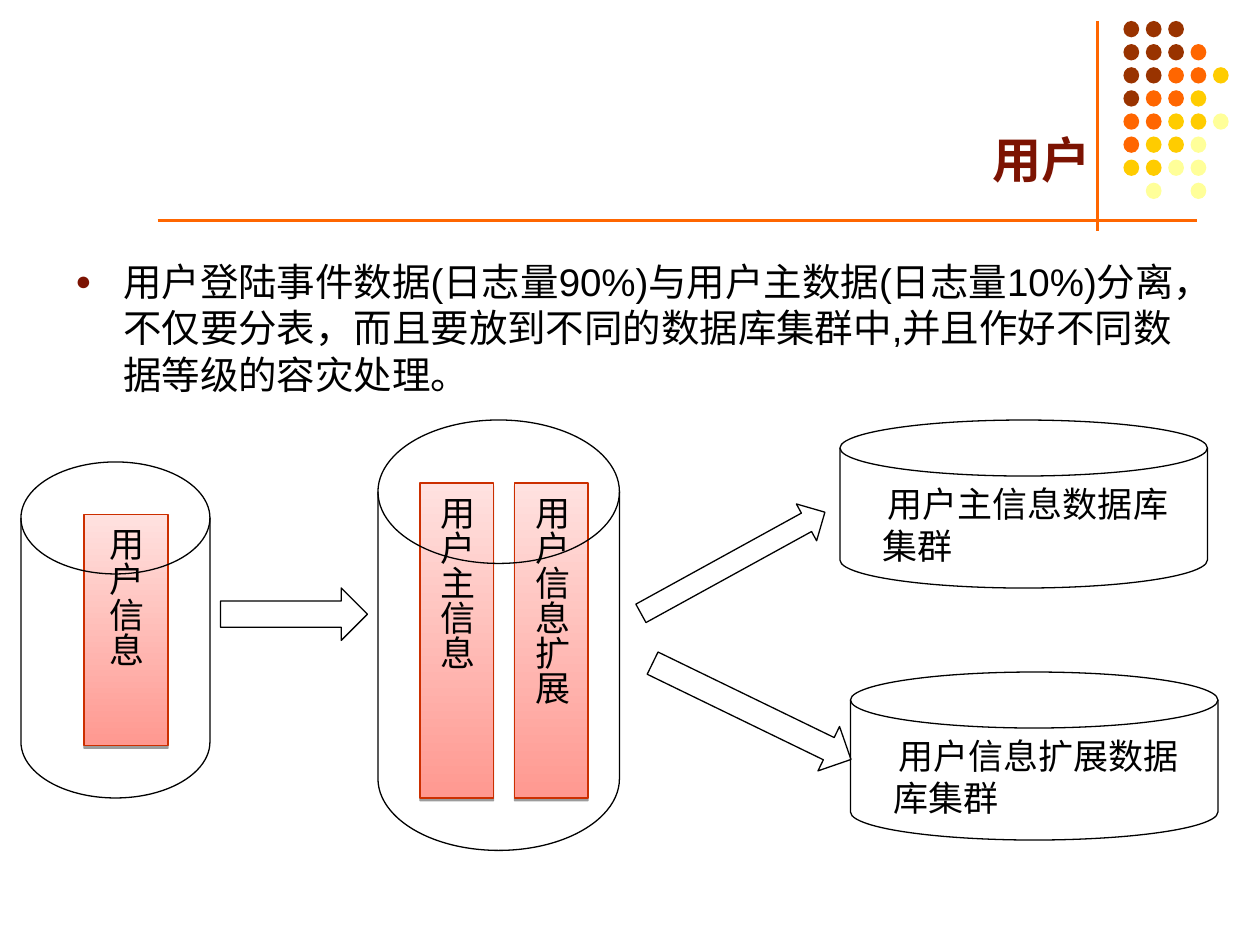
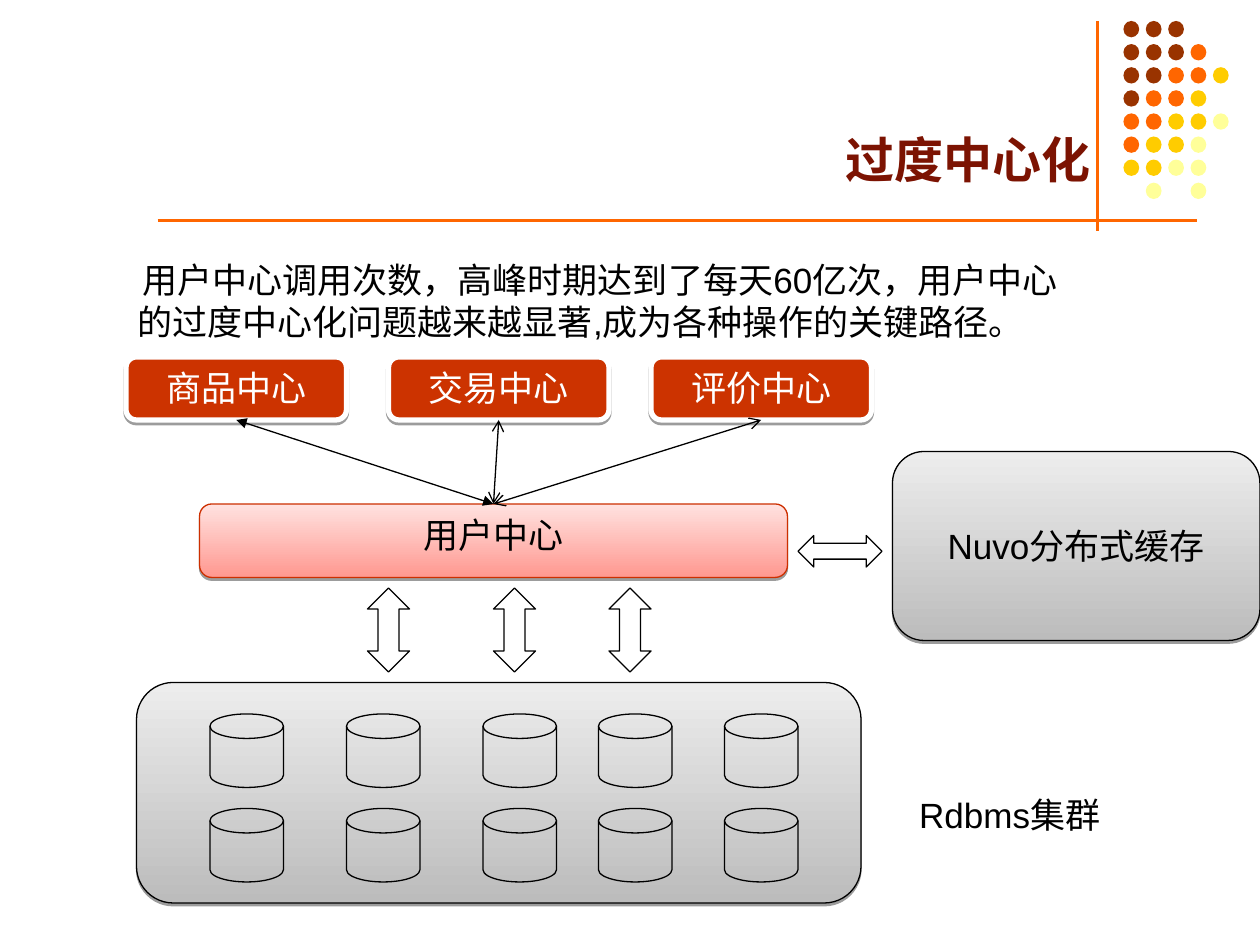
from dataclasses import dataclass

from lxml.etree import SubElement
from pptx import Presentation
from pptx.dml.color import RGBColor
from pptx.enum.shapes import MSO_CONNECTOR, MSO_SHAPE
from pptx.enum.text import MSO_ANCHOR, PP_ALIGN
from pptx.oxml.ns import qn
from pptx.util import Inches, Pt

BLACK = RGBColor(0x00, 0x00, 0x00)
WHITE = RGBColor(0xFF, 0xFF, 0xFF)
MAROON = RGBColor(0x7C, 0x13, 0x02)
BROWN = RGBColor(0x99, 0x33, 0x00)
ORANGE = RGBColor(0xFF, 0x66, 0x00)
GOLD = RGBColor(0xFF, 0xCC, 0x00)
CREAM = RGBColor(0xFF, 0xFF, 0x99)
RED = RGBColor(0xCC, 0x33, 0x00)
RED_EDGE = RGBColor(0xCC, 0x2F, 0x00)
PINK = (RGBColor(0xFF, 0x98, 0x90), RGBColor(0xFF, 0xE2, 0xE0))
GREY = (RGBColor(0xBC, 0xBC, 0xBC), RGBColor(0xED, 0xED, 0xED))

FONT = "Arial"
CELLS_PER_INCH = 12
DOT_COLORS = {"b": BROWN, "o": ORANGE, "g": GOLD, "c": CREAM}
DOT_ROWS = ("bbb", "bbbo", "bboog", "boog", "ooggc", "oggc", "ggcc", " c c")


def cells(count):
    return Inches(count / CELLS_PER_INCH)


@dataclass
class Box:
    left: float
    top: float
    width: float
    height: float

    def inner(self, left, top, width, height):
        return Box(self.left + left, self.top + top, width, height)

    def frame(self):
        return [cells(n) for n in (self.left, self.top, self.width, self.height)]


def add_text(shape, text, size=20, color=BLACK, bold=False, align=PP_ALIGN.LEFT,
             anchor=MSO_ANCHOR.TOP, space=5, margin=0, indent=0):
    frame = shape.text_frame
    frame.word_wrap = True
    frame.vertical_anchor = anchor
    paragraph = frame.paragraphs[0]
    paragraph.alignment = align
    paragraph.space_before = Pt(space)
    properties = paragraph._p.get_or_add_pPr()
    properties.set("marL", str(Inches(margin)))
    properties.set("indent", str(Inches(indent)))
    run = paragraph.add_run()
    run.text = text
    run.font.name = FONT
    run.font.size = Pt(size)
    run.font.bold = bold
    run.font.color.rgb = color
    return properties


def add_note(slide, box, text):
    add_text(slide.shapes.add_textbox(*box.frame()), text, margin=0.24, indent=0.04)


def add_figure(slide, kind, box, fill=None, line=BLACK, line_width=0.75, rotation=0):
    shape = slide.shapes.add_shape(kind, *box.frame())
    shape.rotation = rotation
    shape.shadow.inherit = False
    if fill is None:
        shape.fill.background()
    elif isinstance(fill, RGBColor):
        shape.fill.solid()
        shape.fill.fore_color.rgb = fill
    else:
        shape.fill.gradient()
        shape.fill.gradient_angle = 90
        for stop, color in zip(shape.fill.gradient_stops, fill):
            stop.color.rgb = color
    if line is None:
        shape.line.fill.background()
    else:
        shape.line.color.rgb = line
        shape.line.width = Pt(line_width)
    return shape


def add_panel(slide, kind, box, fill, line=BLACK, line_width=0.75):
    shape = add_figure(slide, kind, box, fill, line, line_width)
    effects = shape._element.spPr.find(qn("a:effectLst"))
    shadow = SubElement(effects, qn("a:outerShdw"), blurRad="0", dist=str(Pt(1.6)),
                        dir="5400000", rotWithShape="0")
    color = SubElement(shadow, qn("a:srgbClr"), val="000000")
    SubElement(color, qn("a:alpha"), val="38000")
    return shape


def add_line(slide, start, end, color=BLACK, width=0.75, head=None):
    points = [cells(n) for n in (*start, *end)]
    connector = slide.shapes.add_connector(MSO_CONNECTOR.STRAIGHT, *points)
    connector.line.color.rgb = color
    connector.line.width = Pt(width)
    properties = connector._element.spPr
    if head:
        outline = properties.find(qn("a:ln"))
        for tag in ("a:headEnd", "a:tailEnd"):
            SubElement(outline, qn(tag), type=head)
    SubElement(properties, qn("a:effectLst"))


def add_dots(slide, box):
    for row, codes in enumerate(DOT_ROWS):
        for column, code in enumerate(codes):
            if code in DOT_COLORS:
                dot = box.inner(2.13 * column, 2.2 * row, 1.5, 1.56)
                add_figure(slide, MSO_SHAPE.OVAL, dot, DOT_COLORS[code], None)


def add_titled_slide(presentation, title):
    slide = presentation.slides.add_slide(presentation.slide_layouts[6])
    add_line(slide, (104.5, 2), (104.5, 22), ORANGE, 1.5)
    add_dots(slide, Box(107, 2, 10.2, 17))
    add_line(slide, (15, 21), (114, 21), ORANGE, 1.5)
    title_box = slide.shapes.add_textbox(*Box(6, 1.5, 99, 17).frame())
    add_text(title_box, title, 28, MAROON, True, PP_ALIGN.RIGHT, MSO_ANCHOR.BOTTOM, 0)
    return slide


def add_bullet(slide, box, text):
    properties = add_text(slide.shapes.add_textbox(*box.frame()), text, 22,
                          space=5.5, margin=0.38, indent=-0.38)
    color = SubElement(properties, qn("a:buClr"))
    SubElement(color, qn("a:srgbClr"), val=str(MAROON))
    SubElement(properties, qn("a:buSzPct"), val="70000")
    SubElement(properties, qn("a:buFont"), typeface=FONT)
    SubElement(properties, qn("a:buChar"), char="●")


def add_database(slide, box, tables):
    for table, name in tables:
        shape = add_panel(slide, MSO_SHAPE.RECTANGLE, box.inner(*table), PINK, RED_EDGE)
        add_text(shape, name, align=PP_ALIGN.CENTER, anchor=MSO_ANCHOR.MIDDLE)
        frame = shape.text_frame
        frame.margin_left = frame.margin_right = Inches(0.05)
        frame.margin_top = frame.margin_bottom = Inches(0.1)
        frame._txBody.bodyPr.set("vert", "eaVert")
    add_figure(slide, MSO_SHAPE.FLOWCHART_MAGNETIC_DISK, box)


def add_split_diagram(slide, box):
    add_database(slide, box.inner(0, 4, 18, 32), [((6, 5, 8, 22), "用户信息")])
    add_database(slide, box.inner(34, 0, 23, 41),
                 [((4, 6, 7, 30), "用户主信息"), ((13, 6, 7, 30), "用户信息扩展")])
    arrows = [((19, 16, 14, 5), 0), ((57.8, 11.6, 20, 4), 331.2),
              ((59.1, 25.4, 21, 4.7), 25.9)]
    for arrow, rotation in arrows:
        add_figure(slide, MSO_SHAPE.RIGHT_ARROW, box.inner(*arrow), rotation=rotation)
    clusters = [(78, 0, "用户主信息数据库集群"), (79, 24, "用户信息扩展数据库集群")]
    for left, top, name in clusters:
        disk = add_figure(slide, MSO_SHAPE.FLOWCHART_MAGNETIC_DISK,
                          box.inner(left, top, 35, 16))
        add_text(disk, name, margin=0.24, indent=0.04)


def add_callers(slide, box, hub):
    callers = [("商品中心", "triangle"), ("交易中心", "arrow"), ("评价中心", "arrow")]
    for index, (name, head) in enumerate(callers):
        caller = box.inner(25 * index, 0, 21, box.height)
        shape = add_panel(slide, MSO_SHAPE.ROUNDED_RECTANGLE, caller, RED, WHITE, 3)
        add_text(shape, name, color=WHITE, align=PP_ALIGN.CENTER)
        start = (caller.left + caller.width / 2, caller.top + caller.height)
        add_line(slide, start, hub, head=head)


def add_services(slide, box):
    center = add_panel(slide, MSO_SHAPE.ROUNDED_RECTANGLE, box.inner(0, 5, 56, 7),
                       PINK, RED_EDGE)
    add_text(center, "用户中心", align=PP_ALIGN.CENTER)
    cache = add_panel(slide, MSO_SHAPE.ROUNDED_RECTANGLE, box.inner(66, 0, 35, 18), GREY)
    add_text(cache, "Nuvo分布式缓存", align=PP_ALIGN.CENTER, anchor=MSO_ANCHOR.MIDDLE)
    add_figure(slide, MSO_SHAPE.LEFT_RIGHT_ARROW, box.inner(57, 8, 8, 3))
    for left in (16, 28, 39):
        add_figure(slide, MSO_SHAPE.UP_DOWN_ARROW, box.inner(left, 13, 4, 8))


def add_cluster(slide, box):
    add_panel(slide, MSO_SHAPE.ROUNDED_RECTANGLE, box, GREY)
    for top in (3, 12):
        for left in (7, 20, 33, 44, 56):
            add_figure(slide, MSO_SHAPE.FLOWCHART_MAGNETIC_DISK, box.inner(left, top, 7, 7))
    add_note(slide, box.inner(70, 10, 24, 5.3), "Rdbms集群")


def build_user_slide(presentation):
    slide = add_titled_slide(presentation, "用户")
    add_bullet(slide, Box(6, 24, 108, 15),
               "用户登陆事件数据(日志量90%)与用户主数据(日志量10%)分离，"
               "不仅要分表，而且要放到不同的数据库集群中,并且作好不同数据等级的容灾处理。")
    add_split_diagram(slide, Box(2, 40, 114, 41))


def build_centralization_slide(presentation):
    slide = add_titled_slide(presentation, "过度中心化")
    add_note(slide, Box(9, 24, 95, 9.2),
             "用户中心调用次数，高峰时期达到了每天60亿次，"
             "用户中心的过度中心化问题越来越显著,成为各种操作的关键路径。")
    add_services(slide, Box(19, 43, 101, 21))
    add_callers(slide, Box(12, 34, 71, 6), (47, 48))
    add_cluster(slide, Box(13, 65, 69, 21))


def main():
    presentation = Presentation()
    presentation.slide_width = Inches(10)
    presentation.slide_height = Inches(7.5)
    build_user_slide(presentation)
    build_centralization_slide(presentation)
    presentation.save("out.pptx")


if __name__ == "__main__":
    main()
